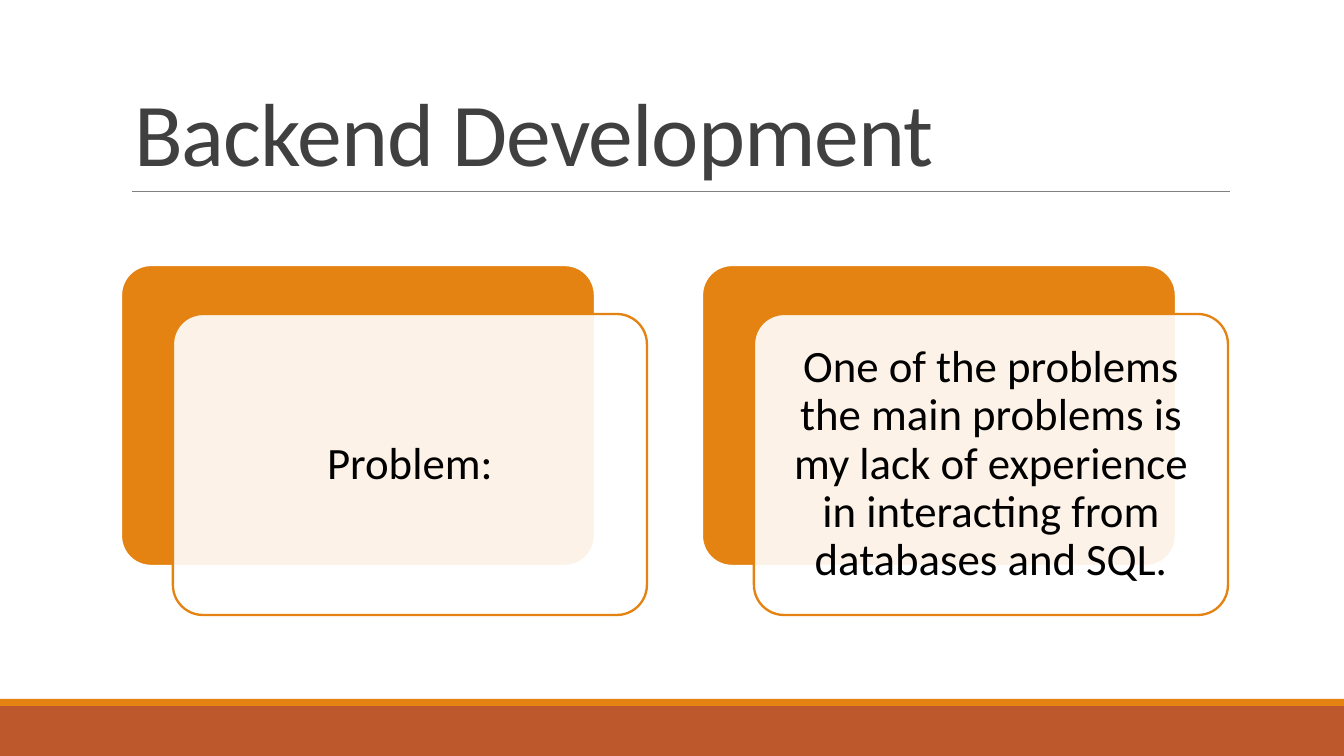
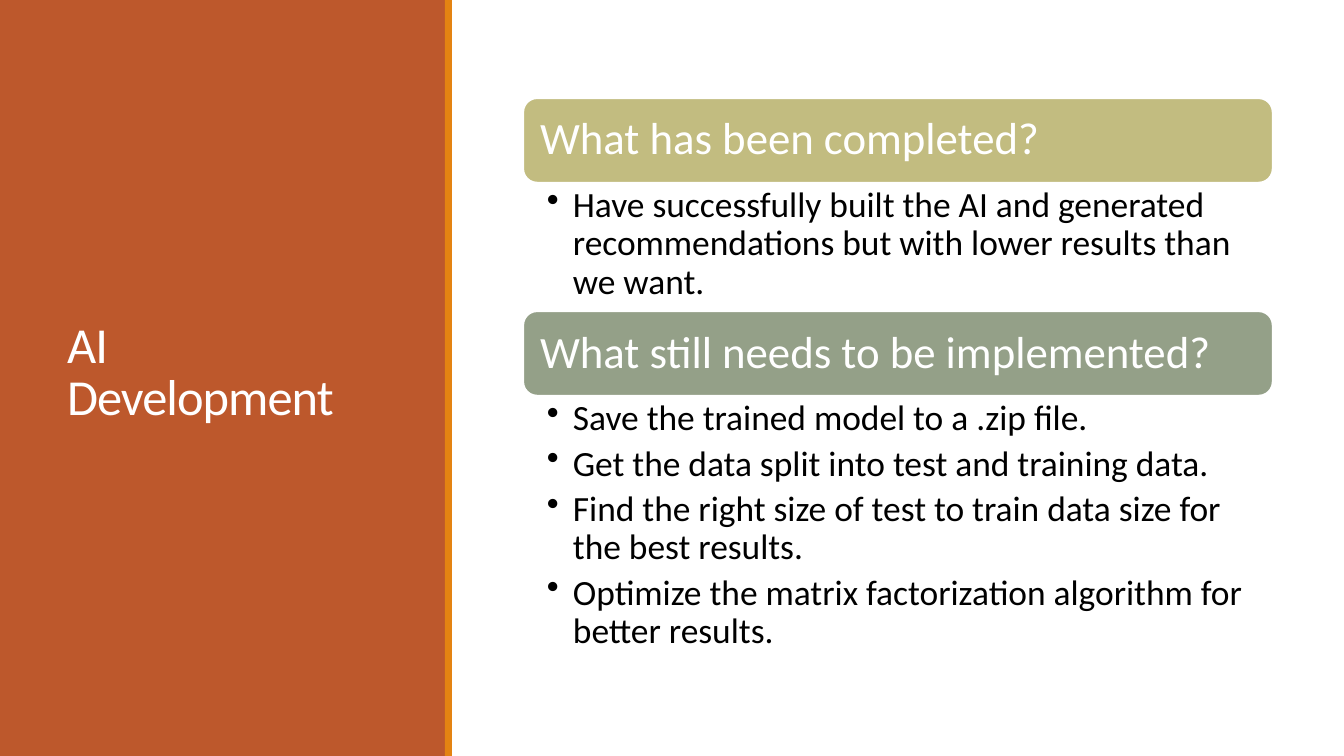
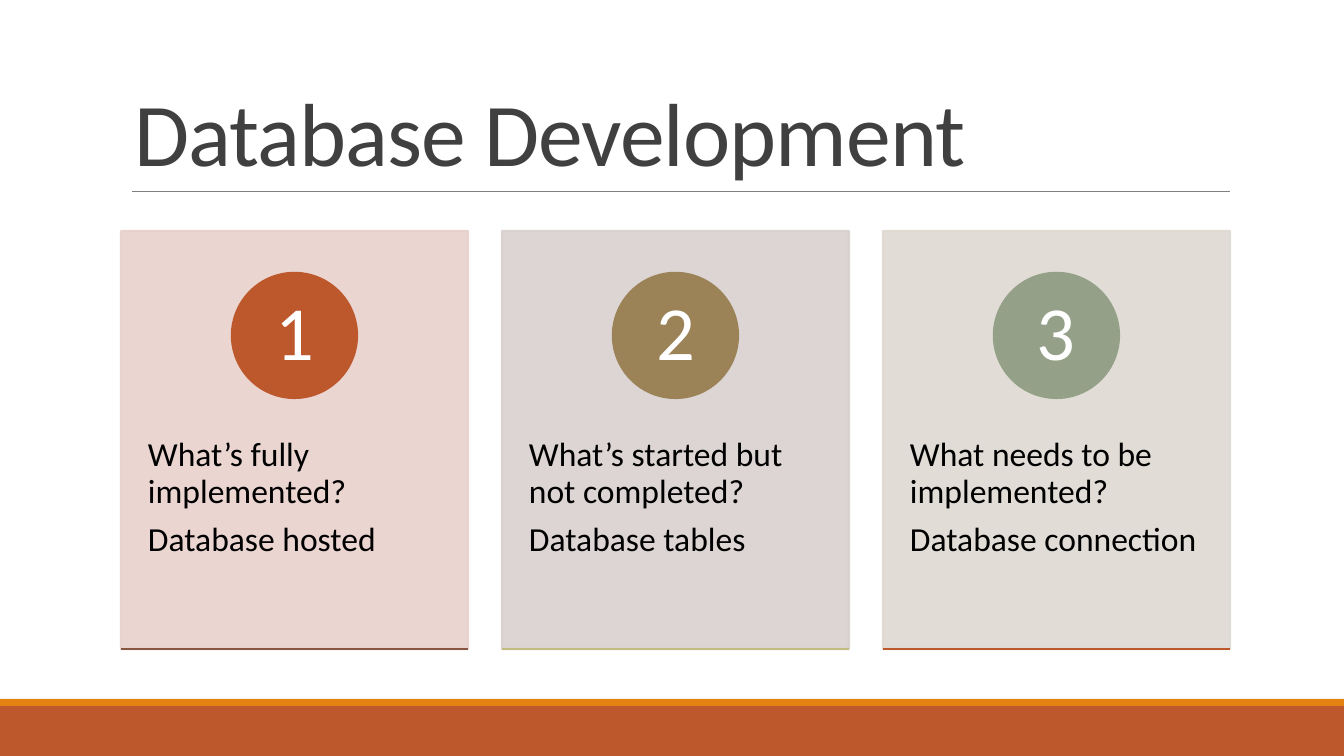
from lxml import etree
from pptx import Presentation
from pptx.dml.color import RGBColor
from pptx.enum.shapes import MSO_CONNECTOR, MSO_SHAPE
from pptx.enum.text import MSO_ANCHOR, MSO_AUTO_SIZE, PP_ALIGN
from pptx.oxml.ns import qn
from pptx.util import Pt

RECT, ROUND, OVAL = MSO_SHAPE.RECTANGLE, MSO_SHAPE.ROUNDED_RECTANGLE, MSO_SHAPE.OVAL
STRAIGHT = MSO_CONNECTOR.STRAIGHT
TOP, MIDDLE, BOTTOM = MSO_ANCHOR.TOP, MSO_ANCHOR.MIDDLE, MSO_ANCHOR.BOTTOM
LEFT, CENTER = PP_ALIGN.LEFT, PP_ALIGN.CENTER
NO_FIT = MSO_AUTO_SIZE.NONE

WIDTH, HEIGHT = 1344, 756
SCALE = 9144000 / WIDTH
FONT = "Calibri"

WHITE = RGBColor(0xFF, 0xFF, 0xFF)
BLACK = RGBColor(0x00, 0x00, 0x00)
CHARCOAL = RGBColor(0x40, 0x40, 0x40)
GRAY = RGBColor(0x80, 0x80, 0x80)
RUST = RGBColor(0xBD, 0x58, 0x2C)
ORANGE = RGBColor(0xE4, 0x83, 0x12)
OLIVE = RGBColor(0xC2, 0xBC, 0x80)
SAGE = RGBColor(0x94, 0xA0, 0x88)
BRONZE = RGBColor(0x9B, 0x83, 0x57)
BROWN = RGBColor(0x86, 0x56, 0x40)
PINK = RGBColor(0xE8, 0xD1, 0xCD)
MAUVE = RGBColor(0xD9, 0xD1, 0xCF)
SAND = RGBColor(0xDE, 0xD9, 0xD1)


def px(n):
    return round(n * SCALE)


class Deck:
    def __init__(self):
        self.prs = Presentation()
        self.prs.slide_width, self.prs.slide_height = px(WIDTH), px(HEIGHT)
        self.s = None

    def slide(self):
        self.s = self.prs.slides.add_slide(self.prs.slide_layouts[5])

    def banded_slide(self, title):
        self.slide()
        self.shape(RECT, 0, 706, WIDTH, 50, RUST)
        self.shape(RECT, 0, 699, WIDTH, 7, ORANGE)
        self.line(132, 1230, 192, GRAY, 0.5)
        self.title(title, 121, 32, 1109, 160, 48, CHARCOAL, BOTTOM)

    def title(self, text, x, y, w, h, size, color, anchor):
        sp = self.s.shapes.title
        sp.left, sp.top, sp.width, sp.height = px(x), px(y), px(w), px(h)
        self.s.shapes._spTree.append(sp._element)
        self.text(sp, [text], size, color, anchor=anchor, insets=(13, 7, 13, 7),
                  spacing=0.85, after=0)
        for r in sp.text_frame.paragraphs[0].runs:
            r._r.get_or_add_rPr().set("spc", "-50")

    def shape(self, kind, x, y, w, h, fill, line=None, radius=None):
        sp = self.s.shapes.add_shape(kind, px(x), px(y), px(w), px(h))
        sp.shadow.inherit = False
        sp.fill.solid()
        sp.fill.fore_color.rgb = fill
        if line is None:
            sp.line.fill.background()
        else:
            sp.line.color.rgb = line
            sp.line.width = Pt(1.25)
        if radius is not None:
            sp.adjustments[0] = radius
        return sp

    def fade(self, sp, query):
        for color in sp._element.spPr.xpath(query):
            etree.SubElement(color, qn("a:alpha")).set("val", "90000")

    def line(self, x1, x2, y, color, width):
        cn = self.s.shapes.add_connector(STRAIGHT, px(x1), px(y), px(x2), px(y))
        cn.line.color.rgb = color
        cn.line.width = Pt(width)
        etree.SubElement(cn._element.spPr, qn("a:effectLst"))

    def text(self, sp, paragraphs, size, color, align=LEFT, anchor=MIDDLE,
             insets=(13, 13, 13, 13), spacing=0.9, after=0.35):
        tf = sp.text_frame
        tf.text = "\n".join(paragraphs)
        tf.word_wrap = True
        tf.auto_size = NO_FIT
        tf.vertical_anchor = anchor
        tf.margin_left, tf.margin_top, tf.margin_right, tf.margin_bottom = map(px, insets)
        for p in tf.paragraphs:
            p.alignment = align
            p.line_spacing = spacing
            p.space_after = Pt(size * after)
            for r in p.runs:
                r.font.name = FONT
                r.font.size = Pt(size)
                r.font.color.rgb = color

    def bullets(self, items, x, y, w, h):
        sp = self.s.shapes.add_textbox(px(x), px(y), px(w), px(h))
        self.text(sp, items, 19, BLACK, anchor=TOP, insets=(24, 4, 26, 4), after=0.2)
        for p in sp.text_frame.paragraphs:
            pPr = p._p.get_or_add_pPr()
            pPr.set("marL", str(px(26)))
            pPr.set("indent", str(px(-26)))
            etree.SubElement(pPr, qn("a:buChar")).set("char", "•")

    def layered_card(self, x, text):
        self.shape(ROUND, x, 265, 474, 301, ORANGE, WHITE, 0.1)
        front = self.shape(ROUND, x + 52, 314, 474, 301, WHITE, ORANGE, 0.1)
        self.fade(front, "a:solidFill/a:srgbClr")
        self.text(front, [text], 24, BLACK, CENTER)

    def heading_bar(self, text, x, y, w, h, fill):
        sp = self.shape(ROUND, x, y, w, h, fill, WHITE)
        self.text(sp, [text], 24, WHITE)

    def numbered_card(self, x, number, lines, fill, accent, rule):
        card = self.shape(RECT, x, 231, 347, 418, fill, fill)
        self.fade(card, ".//a:srgbClr")
        self.text(card, lines, 18, BLACK, anchor=TOP, insets=(27, 207, 27, 48))
        circle = self.shape(OVAL, x + 111, 273, 125, 125, accent, accent)
        self.text(circle, [str(number)], 41, WHITE, CENTER, insets=(9, 1, 9, 1))
        self.line(x, x + 347, 649, rule, 1.25)


def backend_slide(deck):
    deck.banded_slide("Backend Development")
    texts = ["Problem:",
             "One of the problems the main problems is my lack of experience in "
             "interacting from databases and SQL."]
    for i, text in enumerate(texts):
        deck.layered_card(121 + i * 581, text)


def ai_slide(deck):
    deck.slide()
    deck.shape(RECT, 0, 0, 446, HEIGHT, RUST)
    deck.shape(RECT, 445, 0, 7, HEIGHT, ORANGE)
    deck.title("AI Development", 54, 56, 340, 636, 27, WHITE, MIDDLE)
    sections = [
        ("What has been completed?", OLIVE, 128,
         ["Have successfully built the AI and generated recommendations but with "
          "lower results than we want."]),
        ("What still needs to be implemented?", SAGE, 270,
         ["Save the trained model to a .zip file.",
          "Get the data split into test and training data.",
          "Find the right size of test to train data size for the best results.",
          "Optimize the matrix factorization algorithm for better results."]),
    ]
    y, bar_height = 98, 85
    for heading, fill, height, items in sections:
        deck.heading_bar(heading, 523, y, 750, bar_height, fill)
        deck.bullets(items, 523, y + bar_height, 750, height)
        y += bar_height + height


def database_slide(deck):
    deck.banded_slide("Database Development")
    cards = [
        (["What’s fully implemented?", "Database hosted"], PINK, RUST, BROWN),
        (["What’s started but not completed?", "Database tables"], MAUVE, BRONZE, OLIVE),
        (["What needs to be implemented?", "Database connection"], SAND, SAGE, RUST),
    ]
    for i, card in enumerate(cards):
        deck.numbered_card(121 + i * 381, i + 1, *card)


def main():
    deck = Deck()
    backend_slide(deck)
    ai_slide(deck)
    database_slide(deck)
    deck.prs.save("out.pptx")


if __name__ == "__main__":
    main()
